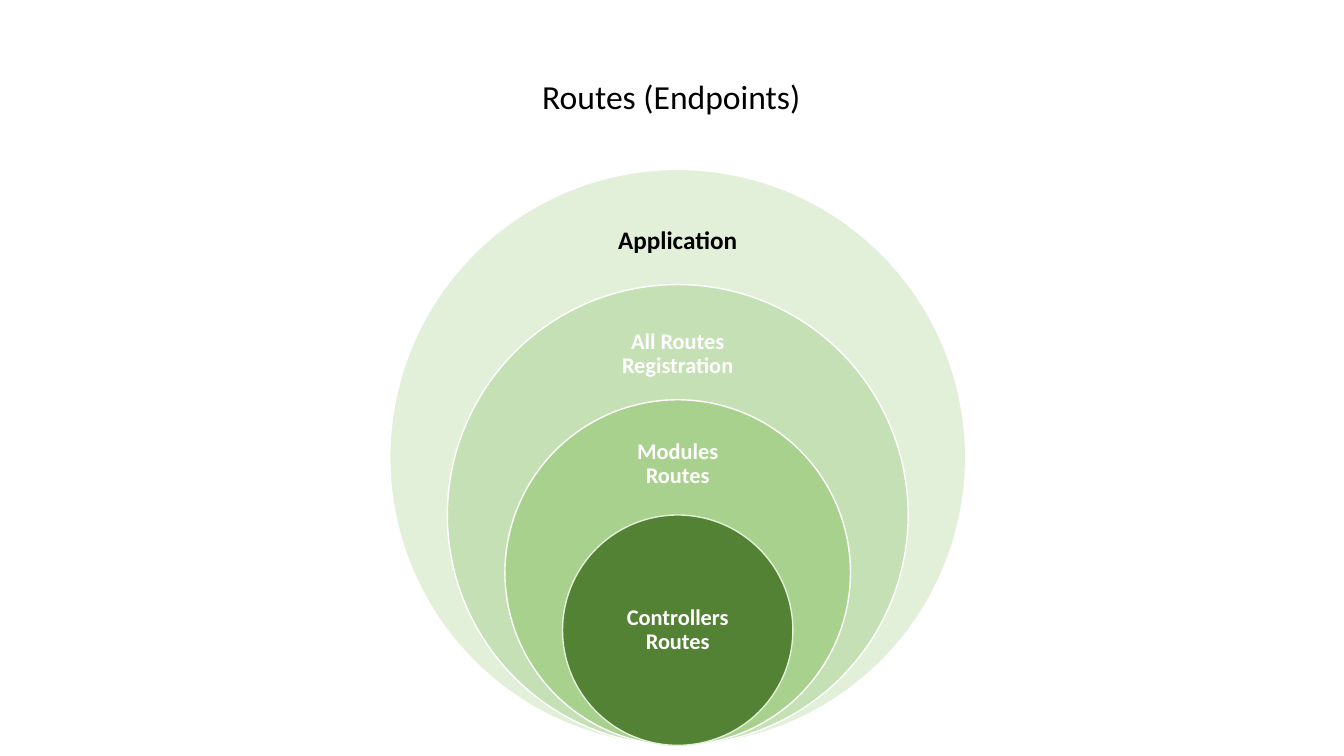
from pptx import Presentation
from pptx.dml.color import RGBColor
from pptx.enum.shapes import MSO_SHAPE
from pptx.enum.text import MSO_ANCHOR, MSO_AUTO_SIZE, PP_ALIGN
from pptx.util import Pt

FONT = "Calibri"
RINGS = [
    ("Application", 18, "000000", "E2F0D9", "FFFFFF", 20.6, 115.2, 62),
    ("All Routes Registration", 16, "FFFFFF", "C5E0B4", "FFFFFF", 20.2, 115.2, 59),
    ("Modules Routes", 16, "FFFFFF", "A9D18E", "FFFFFF", 18.4, 115.2, 55.4),
    ("Controllers Routes", 16, "FFFFFF", "548235", "E2F0D9", 41.1, 116.6, 82.2),
]


def color(value):
    return RGBColor.from_string(value)


def write(shape, text, size, text_color, bold=False, inset=None):
    frame = shape.text_frame
    frame.word_wrap = True
    frame.auto_size = MSO_AUTO_SIZE.NONE
    frame.vertical_anchor = MSO_ANCHOR.MIDDLE
    if inset is not None:
        frame.margin_left = frame.margin_right = Pt(inset)
        frame.margin_top = frame.margin_bottom = Pt(inset)
    paragraph = frame.paragraphs[0]
    paragraph.alignment = PP_ALIGN.CENTER
    run = paragraph.add_run()
    run.text = text
    run.font.name = FONT
    run.font.size = Pt(size)
    run.font.bold = bold
    run.font.color.rgb = color(text_color)
    return paragraph


def place_title(slide, left, top, width, height):
    title = slide.shapes.title
    title.left, title.top = Pt(left), Pt(top)
    title.width, title.height = Pt(width), Pt(height)
    write(title, "Routes (Endpoints)", 24, "000000")


def draw_rings(slide, left, top, size):
    center, bottom = left + size / 2, top + size
    for index, ring in enumerate(RINGS):
        text, text_size, text_color, fill, line, offset, width, height = ring
        diameter = size * (1 - 0.2 * index)
        ring_top = bottom - diameter
        circle = slide.shapes.add_shape(
            MSO_SHAPE.OVAL, Pt(center - diameter / 2), Pt(ring_top),
            Pt(diameter), Pt(diameter))
        circle.shadow.inherit = False
        circle.fill.solid()
        circle.fill.fore_color.rgb = color(fill)
        circle.line.color.rgb = color(line)
        circle.line.width = Pt(1)
        label = slide.shapes.add_textbox(
            Pt(center - width / 2), Pt(ring_top + offset),
            Pt(width), Pt(height))
        paragraph = write(label, text, text_size, text_color, True,
                          text_size * 0.55)
        paragraph.line_spacing = 0.9


presentation = Presentation()
presentation.slide_width, presentation.slide_height = Pt(960), Pt(540)
slide = presentation.slides.add_slide(presentation.slide_layouts[5])
place_title(slide, 375, 50.4, 209, 36)
draw_rings(slide, 278.4, 121, 411.4)
presentation.save("out.pptx")
